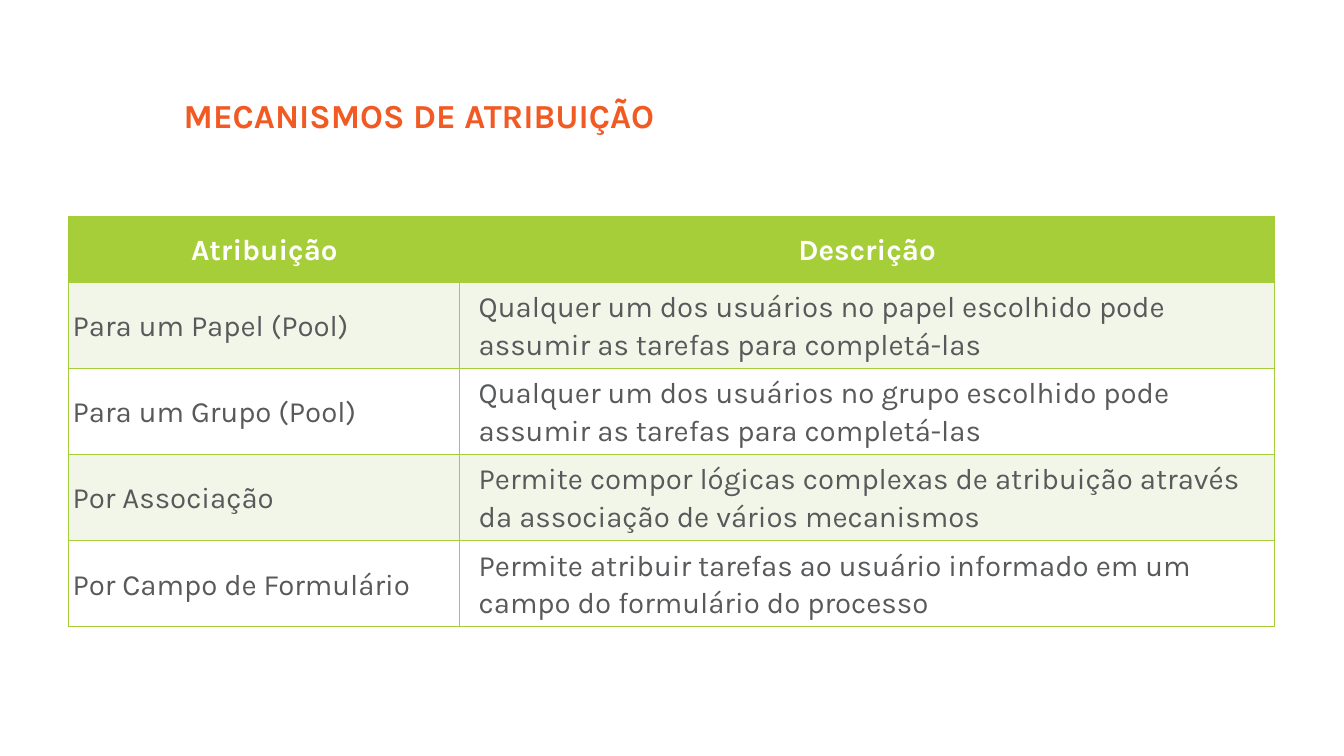
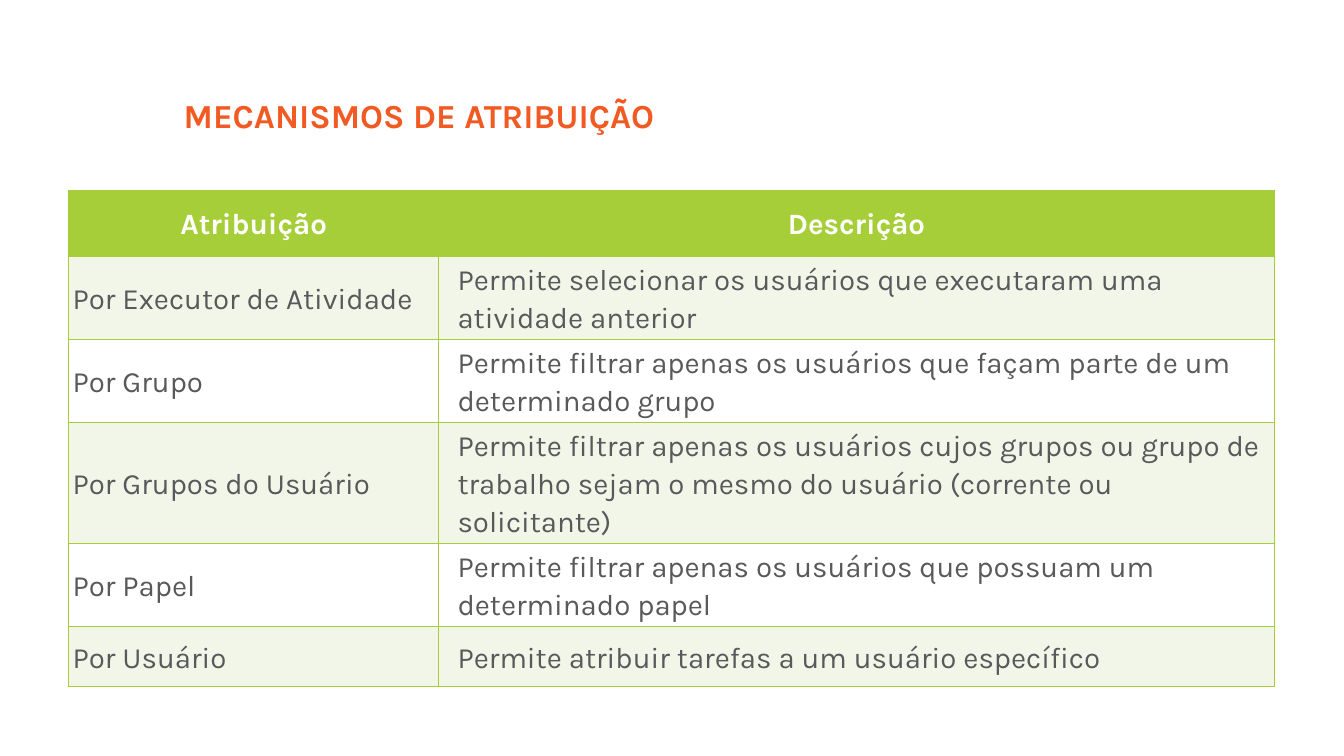
from lxml.etree import SubElement
from pptx import Presentation
from pptx.dml.color import RGBColor as RGB
from pptx.enum.text import MSO_ANCHOR as ANCHOR, PP_ALIGN as ALIGN
from pptx.oxml.ns import qn
from pptx.util import Pt

PX = 9144  # EMU per px, 100 px to the inch
FONT = "Karla"
COLORS = {"title": "F15A22", "green": "A6CE39", "band": "F1F6E8",
          "white": "FFFFFF", "text": "58595B"}
TITLE = "MECANISMOS DE ATRIBUIÇÃO"
HEADER = ("Atribuição", "Descrição")
TABLE_LEFT, TABLE_WIDTH = 91, 1594
HEADER_HEIGHT = 87
CELL_MARGIN, DESCRIPTION_INDENT = 5, 20

POOL_ROWS = [
    ("Para um Papel (Pool)",
     "Qualquer um dos usuários no papel escolhido pode assumir as tarefas para completá-las"),
    ("Para um Grupo (Pool)",
     "Qualquer um dos usuários no grupo escolhido pode assumir as tarefas para completá-las"),
    ("Por Associação",
     "Permite compor lógicas complexas de atribuição através da associação de vários mecanismos"),
    ("Por Campo de Formulário",
     "Permite atribuir tarefas ao usuário informado em um campo do formulário do processo"),
]
FILTER_ROWS = [
    ("Por Executor de Atividade",
     "Permite selecionar os usuários que executaram uma atividade anterior"),
    ("Por Grupo",
     "Permite filtrar apenas os usuários que façam parte de um determinado grupo"),
    ("Por Grupos do Usuário",
     "Permite filtrar apenas os usuários cujos grupos ou grupo de trabalho sejam "
     "o mesmo do usuário (corrente ou solicitante)"),
    ("Por Papel",
     "Permite filtrar apenas os usuários que possuam um determinado papel"),
    ("Por Usuário", "Permite atribuir tarefas a um usuário específico"),
]


def px(*lengths):
    return [n * PX for n in lengths]


def color(name):
    return RGB.from_string(COLORS[name])


def format_runs(p, size, color_name, bold):
    for r in p.runs:
        r.font.name, r.font.size, r.font.bold = FONT, Pt(size), bold
        r.font.color.rgb = color(color_name)


def add_title(s):
    tf = s.shapes.add_textbox(*px(233, 120, 1390, 141)).text_frame
    tf.word_wrap = True
    tf.text = TITLE
    format_runs(tf.paragraphs[0], 32, "title", True)


def add_borders(cell):
    tc_pr = cell._tc.get_or_add_tcPr()
    for side in ("lnL", "lnR", "lnT", "lnB"):
        ln = SubElement(tc_pr, qn(f"a:{side}"), w=str(Pt(1)))
        fill = SubElement(ln, qn("a:solidFill"))
        SubElement(fill, qn("a:srgbClr"), val=COLORS["green"])


def fill_cell(cell, text, fill, is_header, indent):
    add_borders(cell)
    cell.fill.solid()
    cell.fill.fore_color.rgb = color(fill)
    cell.vertical_anchor = ANCHOR.MIDDLE
    cell.margin_left = cell.margin_right = CELL_MARGIN * PX
    cell.margin_top = cell.margin_bottom = CELL_MARGIN * PX
    cell.text_frame.text = text
    p = cell.text_frame.paragraphs[0]
    p.alignment = ALIGN.CENTER if is_header else ALIGN.LEFT
    p.line_spacing = Pt(35 if is_header else 36)
    if indent:
        p._p.get_or_add_pPr().set("marL", str(indent * PX))
    format_runs(p, 28, "white" if is_header else "text", is_header)


def add_mechanism_table(s, top, first_width, rows, row_heights):
    heights = [HEADER_HEIGHT, *row_heights]
    frame = s.shapes.add_table(
        len(heights), 2, *px(TABLE_LEFT, top, TABLE_WIDTH, sum(heights)))
    table = frame.table
    table.first_row = table.horz_banding = False
    for col, width in zip(table.columns, px(first_width, TABLE_WIDTH - first_width)):
        col.width = width
    for row, height in zip(table.rows, px(*heights)):
        row.height = height
    for i, texts in enumerate([HEADER, *rows]):
        is_header = i == 0
        fill = "green" if is_header else "band" if i % 2 else "white"
        for j, text in enumerate(texts):
            indent = DESCRIPTION_INDENT if j and not is_header else 0
            fill_cell(table.cell(i, j), text, fill, is_header, indent)


def main():
    prs = Presentation()
    prs.slide_width, prs.slide_height = px(1777, 1000)
    for top, first_width, rows, heights in (
        (286, 517, POOL_ROWS, [114] * 4),
        (252, 489, FILTER_ROWS, [110] * 4 + [79]),
    ):
        s = prs.slides.add_slide(prs.slide_layouts[6])
        add_title(s)
        add_mechanism_table(s, top, first_width, rows, heights)
    prs.save("out.pptx")


if __name__ == "__main__":
    main()
